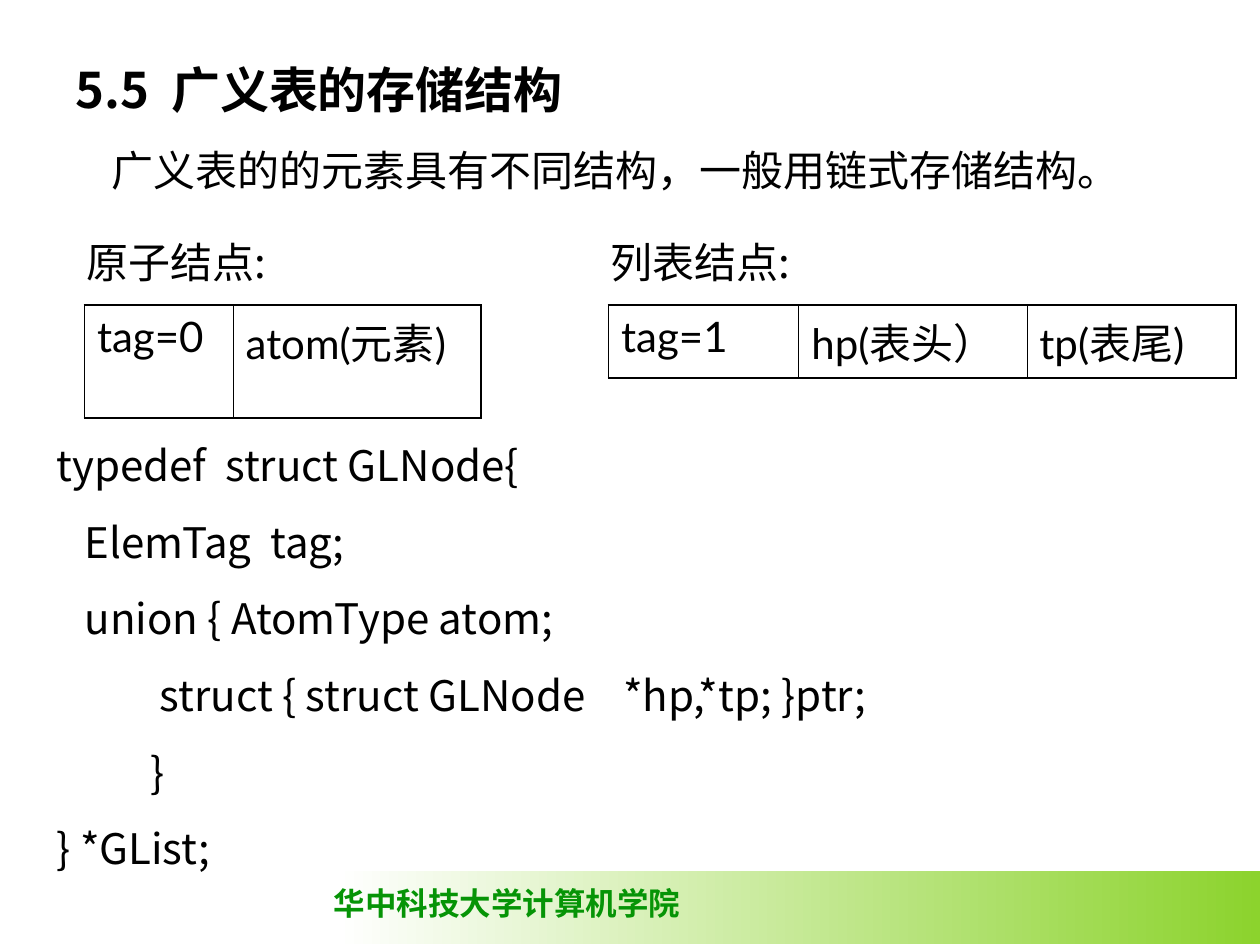
from lxml.etree import SubElement
from pptx import Presentation
from pptx.dml.color import RGBColor
from pptx.enum.shapes import MSO_SHAPE
from pptx.enum.text import MSO_AUTO_SIZE
from pptx.oxml.ns import qn
from pptx.util import Inches, Pt

BODY_FONT, NODE_FONT, FOOTER_FONT = "Noto Sans CJK SC", "Lato", "Times New Roman"
BLACK, GREEN = "000000", "069406"

# Content
TITLE = "5.5  广义表的存储结构"
INTRO = "广义表的的元素具有不同结构，一般用链式存储结构。"
FOOTER = "华中科技大学计算机学院"
NODES = [  # label, left, row height, (text, column width)
    ("列表结点:", 4.83, 0.58, [("tag=1", 1.51), ("hp(表头）", 1.81), ("tp(表尾)", 1.66)]),
    ("原子结点:", 0.67, 0.9, [("tag=0", 1.18), ("atom(元素)", 1.97)]),
]
CODE = [
    "typedef  struct GLNode{",
    "   ElemTag  tag;",
    "   union { AtomType atom;",
    "           struct { struct GLNode    *hp,*tp; }ptr;",
    "          }",
    "} *GList;",
]


def color(value):
    return RGBColor.from_string(value)


def style(para, size, name=BODY_FONT, ink=BLACK, bold=False):
    font = para.font
    font.size, font.name, font.bold = Pt(size), name, bold
    font.color.rgb = color(ink)


def add_text(page, place, lines, size=24, wrap=True, **look):
    box = page.shapes.add_textbox(*map(Inches, place))
    frame = box.text_frame
    frame.word_wrap = wrap
    frame.auto_size = MSO_AUTO_SIZE.SHAPE_TO_FIT_TEXT
    for index, line in enumerate(lines):
        para = frame.paragraphs[0] if index == 0 else frame.add_paragraph()
        span = para.add_run()
        span.text = line
        style(para, size, **look)
        # East Asian characters use the body font
        SubElement(span._r.get_or_add_rPr(), qn("a:ea"), typeface=BODY_FONT)
        if index:
            para.space_before = Pt(15)
    return frame


def set_borders(cell, widths):
    properties = cell._tc.get_or_add_tcPr()
    for position, (side, width) in enumerate(widths.items()):
        line = SubElement(properties, qn("a:" + side), w=str(Pt(width)))
        fill = SubElement(line, qn("a:solidFill"))
        SubElement(fill, qn("a:srgbClr"), val=BLACK)
        properties.insert(position, line)


def add_node(page, left, height, fields):
    width = sum(field[1] for field in fields)
    frame = page.shapes.add_table(1, len(fields), Inches(left), Inches(2.42),
                                  Inches(width), Inches(height))
    table = frame.table
    table.first_row = table.horz_banding = False
    last = len(fields) - 1
    for index, (text, column_width) in enumerate(fields):
        table.columns[index].width = Inches(column_width)
        cell = table.cell(0, index)
        cell.fill.background()
        cell.text = text
        style(cell.text_frame.paragraphs[0], 24, NODE_FONT)
        set_borders(cell, {
            "lnL": 1.08 if index == 0 else 0.45,
            "lnR": 1.08 if index == last else 0.45,
            "lnT": 1.08,
            "lnB": 1.08,
        })


deck = Presentation()
deck.slide_width, deck.slide_height = Inches(10), Inches(7.5)
page = deck.slides.add_slide(deck.slide_layouts[6])

# Footer band
band = page.shapes.add_shape(MSO_SHAPE.RECTANGLE, Inches(2.67), Inches(6.91),
                             Inches(7.33), Inches(0.58))
band.shadow.inherit = False
band.line.fill.background()
band.fill.gradient()
band.fill.gradient_angle = 0
for stop, position, shade in zip(band.fill.gradient_stops, (0, 1), ("FFFFFF", "8CD32D")):
    stop.position = position
    stop.color.rgb = color(shade)
add_text(page, (2.55, 6.97, 2.95, 0.4), [FOOTER], 18, wrap=False,
         name=FOOTER_FONT, ink=GREEN, bold=True)

# Heading and introduction
heading = add_text(page, (0.5, 0.42, 9, 1.18), [TITLE, INTRO])
title, intro = heading.paragraphs
style(title, 28, bold=True)
intro._p.get_or_add_pPr().set("indent", str(Inches(0.29)))

# Node layouts with their labels
for label, left, height, fields in NODES:
    add_node(page, left, height, fields)
    add_text(page, (left - 0.08, 1.83, 2.17, 0.5), [label])

# Type definition
add_text(page, (0.35, 3.44, 9.37, 3.54), CODE)

deck.save("out.pptx")
